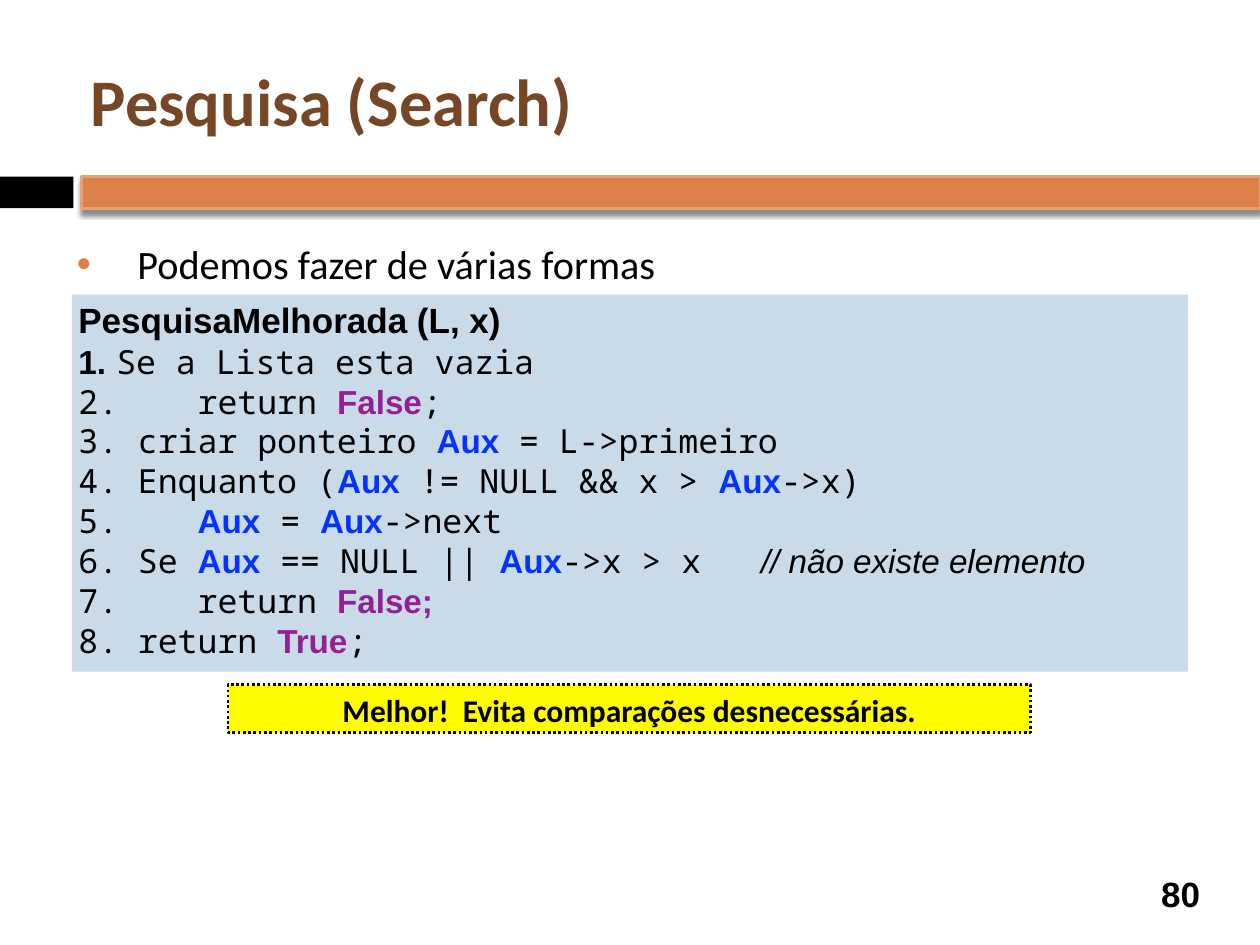
from lxml.etree import SubElement
from pptx import Presentation
from pptx.dml.color import RGBColor
from pptx.enum.dml import MSO_LINE_DASH_STYLE as Dash
from pptx.enum.shapes import MSO_SHAPE as Shape
from pptx.enum.text import MSO_ANCHOR as Anchor, PP_ALIGN as Align
from pptx.oxml.ns import qn
from pptx.util import Cm, Pt

BLACK, ORANGE, BROWN = "000000", "DD8047", "754726"

# Run styles: font, size, colour, bold, italic
HEADING = ("Arial", 20, BLACK, True, False)
STRONG = ("Arial", 19, BLACK, True, False)
CODE = ("Noto Sans Mono", 19, BLACK, False, False)
NAME = ("Arial", 19, "0433FF", True, False)
VALUE = ("Arial", 19, "942192", True, False)
REMARK = ("Arial", 19, BLACK, False, True)
TITLE = ("Calibri", 38, BROWN, True, False)
BODY = ("Calibri", 23, BLACK, False, False)
NOTE = ("Calibri", 18, BLACK, True, False)

AUX = ("Aux", NAME)
STEPS = [
    [(" ", STRONG), ("Se a Lista esta vazia", CODE)],
    [("    return ", CODE), ("False", VALUE), (";", CODE)],
    [(" criar ponteiro ", CODE), AUX, (" = L->primeiro", CODE)],
    [(" Enquanto (", CODE), AUX, (" != NULL && x > ", CODE), AUX, ("->x)", CODE)],
    [("    ", CODE), AUX, (" = ", CODE), AUX, ("->next", CODE)],
    [(" Se ", CODE), AUX, (" == NULL || ", CODE), AUX, ("->x > x   ", CODE),
     ("// não existe elemento", REMARK)],
    [("    return ", CODE), ("False;", VALUE)],
    [(" return ", CODE), ("True", VALUE), (";", CODE)],
]


def colour(code):
    return RGBColor.from_string(code)


class SlideBuilder:
    """Draws styled elements on one slide; lengths are in centimetres."""

    margin = Cm(0.13)

    def __init__(self, page):
        self.page = page

    def frame(self, box, anchor):
        frame = box.text_frame
        frame.word_wrap = True
        frame.vertical_anchor = anchor
        frame.margin_left = frame.margin_right = self.margin
        frame.margin_top = frame.margin_bottom = self.margin
        return frame

    def textbox(self, left, top, width, height, anchor=Anchor.TOP):
        box = self.page.shapes.add_textbox(Cm(left), Cm(top), Cm(width), Cm(height))
        return self.frame(box, anchor)

    def rectangle(self, left, top, width, height, fill, line=None, dash=None):
        box = self.page.shapes.add_shape(
            Shape.RECTANGLE, Cm(left), Cm(top), Cm(width), Cm(height))
        box.shadow.inherit = False
        box.fill.solid()
        box.fill.fore_color.rgb = colour(fill)
        if line:
            box.line.color.rgb = colour(line)
            box.line.width = Pt(1.5)
            box.line.dash_style = dash
        else:
            box.line.fill.background()
        return box

    def drop_shadow(self, box):
        effects = box._element.spPr.find(qn("a:effectLst"))
        shadow = SubElement(effects, qn("a:outerShdw"), blurRad=str(Pt(3)),
                            dist=str(Pt(2.4)), dir="5400000", rotWithShape="0")
        tint = SubElement(shadow, qn("a:srgbClr"), val=BLACK)
        SubElement(tint, qn("a:alpha"), val="45000")

    def hang(self, para, indent):
        props = para._p.get_or_add_pPr()
        props.set("marL", str(Cm(indent)))
        props.set("indent", str(-Cm(indent)))
        return props

    def bullet(self, para, indent):
        props = self.hang(para, indent)
        SubElement(SubElement(props, qn("a:buClr")), qn("a:srgbClr"), val=ORANGE)
        SubElement(props, qn("a:buFont"), typeface="Arial")
        SubElement(props, qn("a:buChar"), char="•")

    def number(self, para, indent):
        SubElement(self.hang(para, indent), qn("a:buAutoNum"), type="arabicPeriod")

    def add_runs(self, para, runs, align=Align.LEFT, spacing=None):
        para.alignment = align
        if spacing:
            para.line_spacing = Pt(spacing)
        for text, (font, size, tone, bold, italic) in runs:
            span = para.add_run()
            span.text = text
            span.font.name = font
            span.font.size = Pt(size)
            span.font.color.rgb = colour(tone)
            span.font.bold = bold
            span.font.italic = italic


def main():
    deck = Presentation()
    deck.slide_width, deck.slide_height = Cm(25.4), Cm(19.05)
    page = deck.slides.add_slide(deck.slide_layouts[6])
    draw = SlideBuilder(page)

    # Band under the title
    draw.rectangle(0, 3.56, 1.48, 0.64, BLACK)
    draw.drop_shadow(draw.rectangle(1.65, 3.56, 23.75, 0.64, ORANGE, "E5A075"))

    # Page number
    frame = draw.textbox(23.06, 17.5, 1.48, 1.04, Anchor.MIDDLE)
    draw.add_runs(frame.paragraphs[0], [("80", HEADING)], Align.CENTER)

    # Title and lead sentence
    frame = draw.textbox(1.7, 0.64, 22.66, 2.74, Anchor.MIDDLE)
    draw.add_runs(frame.paragraphs[0], [("Pesquisa (Search)", TITLE)])
    para = draw.textbox(1.42, 4.7, 12.04, 1.75).paragraphs[0]
    draw.bullet(para, 1.22)
    draw.add_runs(para, [("Podemos fazer de várias formas", BODY)])

    # Highlighted remark
    box = draw.rectangle(4.6, 13.8, 16.18, 0.97, "FFFB00", BLACK, Dash.ROUND_DOT)
    frame = draw.frame(box, Anchor.TOP)
    draw.add_runs(frame.paragraphs[0],
                  [("Melhor!  Evita comparações desnecessárias.", NOTE)], Align.CENTER)

    # Algorithm with numbered steps
    box = draw.rectangle(1.45, 5.94, 22.5, 7.6, "C9DAE8")
    frame = draw.frame(box, Anchor.TOP)
    draw.add_runs(frame.paragraphs[0], [("PesquisaMelhorada (L, x)", HEADING)],
                  spacing=22.8)
    for runs in STEPS:
        para = frame.add_paragraph()
        draw.number(para, 0.58)
        draw.add_runs(para, runs, spacing=22.8)

    deck.save("out.pptx")


if __name__ == "__main__":
    main()
